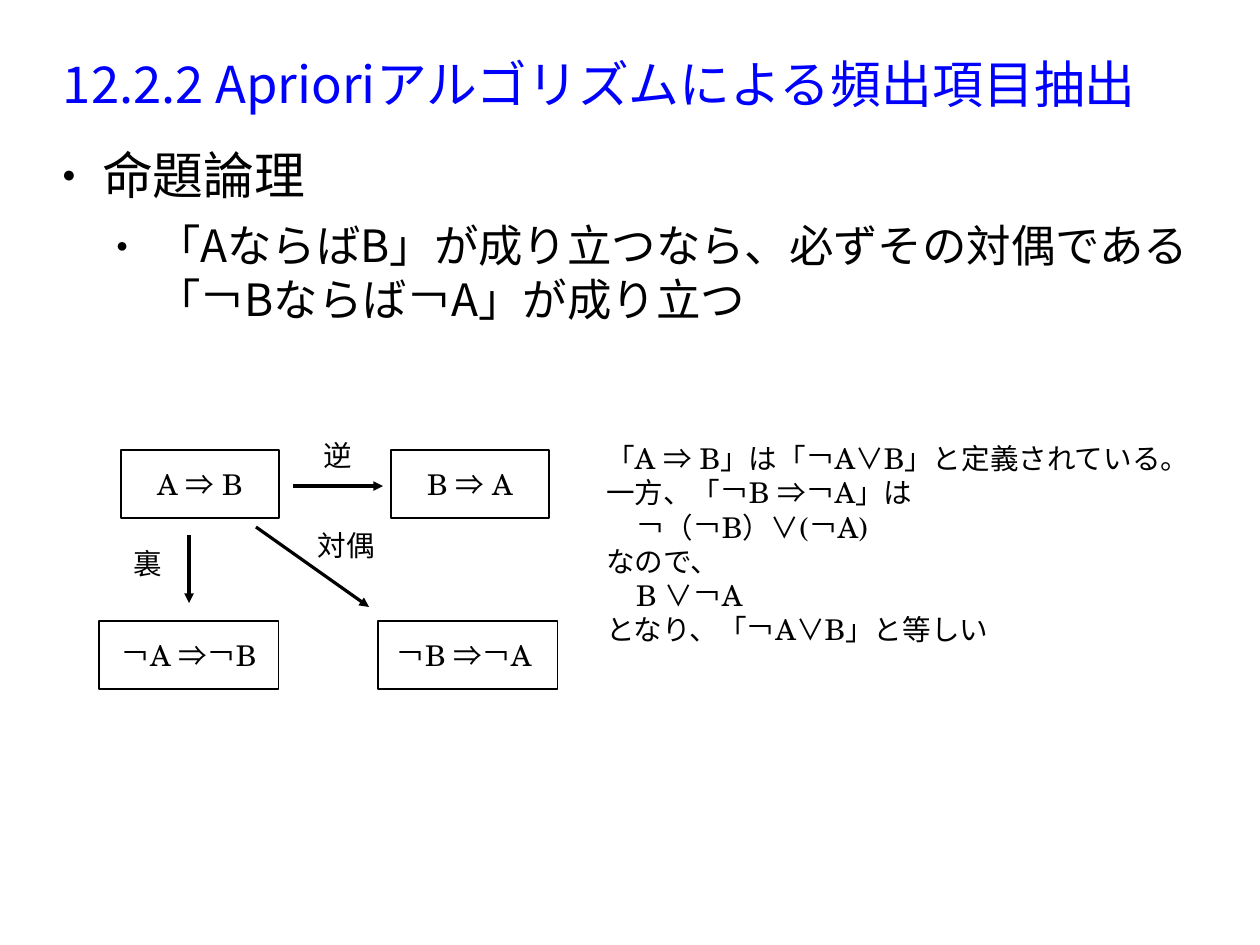
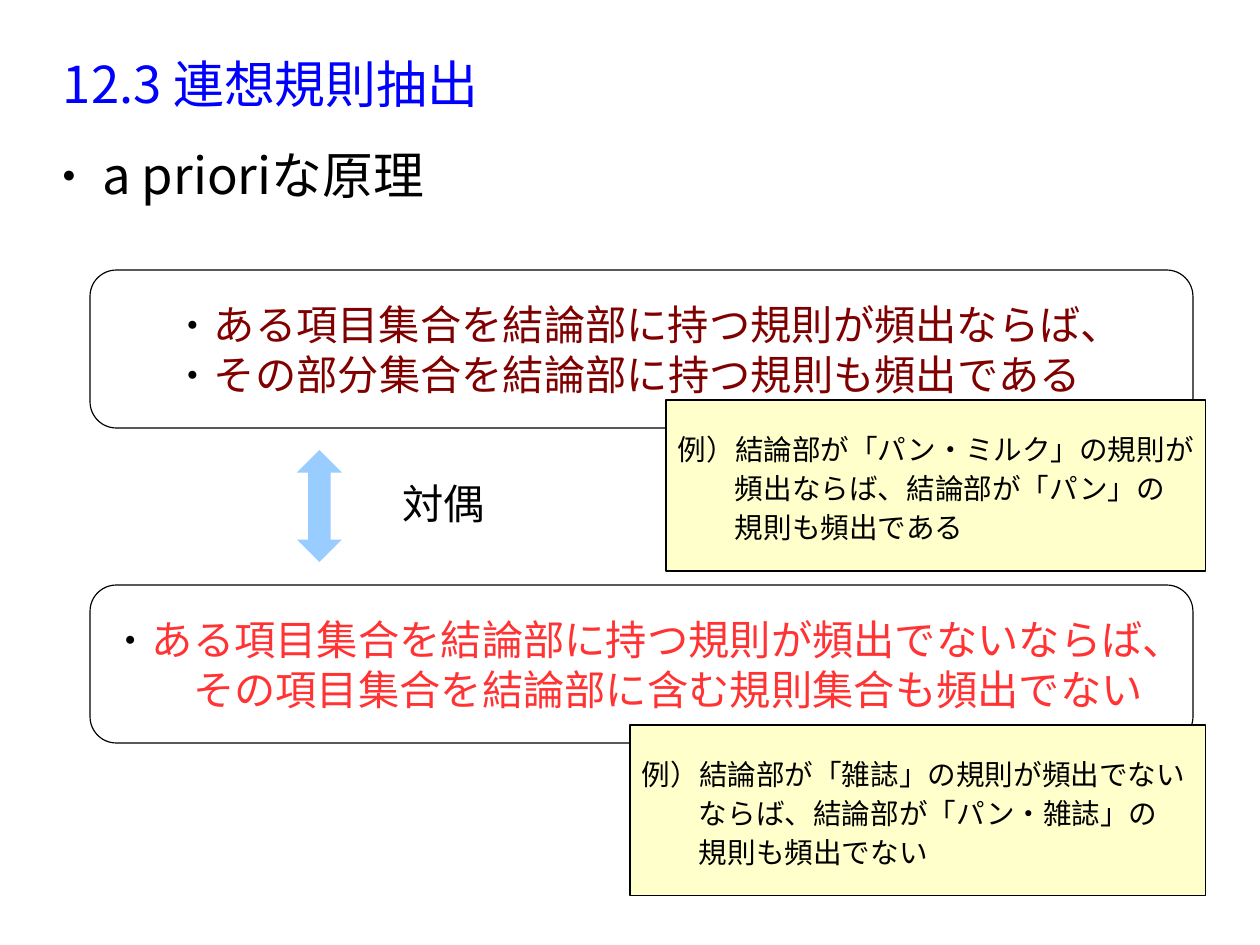
from dataclasses import dataclass
from itertools import groupby

from lxml.etree import SubElement
from pptx import Presentation
from pptx.dml.color import RGBColor
from pptx.enum.shapes import MSO_CONNECTOR, MSO_SHAPE
from pptx.enum.text import MSO_ANCHOR, MSO_AUTO_SIZE, PP_ALIGN
from pptx.oxml.ns import qn
from pptx.util import Emu, Pt

PX = 8000


@dataclass(frozen=True)
class Theme:
    """Colours, fonts and type sizes shared by the slides."""
    black: str = "000000"
    title: str = "0000FF"
    rule: str = "800000"
    contrapositive: str = "FF3333"
    note: str = "FFFFCC"
    arrow: str = "99CCFF"
    cjk: str = "Noto Sans CJK JP"
    serif: str = "TeX Gyre Schola"
    sans: str = "Arial"
    heading_size: int = 32
    sub_size: int = 28
    rule_size: int = 26
    text_size: int = 18
    symbols: str = "⇒∨"


T = Theme()
INSETS = (12, 6, 12, 6)
CENTRED = {"alignment": PP_ALIGN.CENTER}


def px(*values):
    """Turn px lengths into EMU."""
    return [Emu(v * PX) for v in values]


def assign(obj, values):
    """Set the attributes of an object from a dict."""
    for name, value in values.items():
        setattr(obj, name, value)


def format_frame(tf, insets=INSETS, wrap=False, anchor=MSO_ANCHOR.TOP):
    """Set the insets, wrapping and anchor of a text frame."""
    left, top, right, bottom = px(*insets)
    assign(tf, {"margin_left": left, "margin_top": top, "margin_right": right,
                "margin_bottom": bottom, "auto_size": MSO_AUTO_SIZE.NONE,
                "word_wrap": wrap, "vertical_anchor": anchor})


def add_run(p, text, size, font, color):
    """Add a run with Latin and East Asian fonts."""
    r = p.add_run()
    r.text = text
    assign(r.font, {"size": Pt(size), "name": font})
    r.font.color.rgb = RGBColor.from_string(color)
    SubElement(r.font._element, qn("a:ea"), typeface=T.cjk)


def write_paragraph(p, text, size=T.text_size, font=T.cjk, color=T.black, **fmt):
    """Write text with logic symbols in the CJK font."""
    assign(p, {"alignment": PP_ALIGN.LEFT, "space_before": Pt(0), **fmt})
    for i, line in enumerate(text.split("\n")):
        if i:
            p.add_line_break()
        for symbol, chars in groupby(line, lambda c: c in T.symbols):
            add_run(p, "".join(chars), size, T.cjk if symbol else font, color)


def indent(p, left, first=0):
    """Set the left margin and first-line indent in px."""
    pPr = p._p.get_or_add_pPr()
    pPr.set("marL", str(left * PX))
    pPr.set("indent", str(first * PX))
    return pPr


def add_bullet(p, left, hang):
    """Give a paragraph a small round black bullet."""
    pPr = indent(p, left, -hang)
    SubElement(SubElement(pPr, qn("a:buClr")), qn("a:srgbClr"), val=T.black)
    SubElement(pPr, qn("a:buSzPct"), val="45000")
    SubElement(pPr, qn("a:buFont"), typeface=T.sans)
    SubElement(pPr, qn("a:buChar"), char="●")


def paragraphs(tf, items):
    """Pair each item with a paragraph of the frame."""
    for i, item in enumerate(items):
        yield (tf.add_paragraph() if i else tf.paragraphs[0]), item


def add_slide(prs, title, items, height, gap):
    """Add a slide with its title and bulleted body."""
    s = prs.slides.add_slide(prs.slide_layouts[1])
    sp, body = s.shapes.title, s.placeholders[1]
    for ph, box in ((sp, (63, 31, 1134, 104)), (body, (48, 144, 1167, height))):
        assign(ph, dict(zip(("left", "top", "width", "height"), px(*box))))
    format_frame(sp.text_frame, (0, 0, 0, 0), True, MSO_ANCHOR.MIDDLE)
    format_frame(body.text_frame, (0, 0, 0, 0), True)
    write_paragraph(sp.text_frame.paragraphs[0], title, T.heading_size, color=T.title)
    sizes = (T.heading_size, T.sub_size)
    for level, (p, text) in enumerate(paragraphs(body.text_frame, items)):
        write_paragraph(p, text, sizes[level], level=level, space_after=Pt(gap))
        add_bullet(p, 54 * (level + 1), 40)
    return s


def add_shape(s, kind, box, fill=None, line=T.black):
    """Add a flat preset shape with an optional fill and hairline."""
    sp = s.shapes.add_shape(kind, *px(*box))
    sp.shadow.inherit = False
    for part, color in ((sp.fill, fill), (sp.line.fill, line)):
        if color:
            part.solid()
            part.fore_color.rgb = RGBColor.from_string(color)
        else:
            part.background()
    if line:
        sp.line.width = Pt(0)
    format_frame(sp.text_frame, anchor=MSO_ANCHOR.MIDDLE)
    return sp


def add_formula_box(s, box, text):
    """Add a rectangle holding a centred formula."""
    sp = add_shape(s, MSO_SHAPE.RECTANGLE, box)
    write_paragraph(sp.text_frame.paragraphs[0], text, font=T.serif, **CENTRED)


def add_principle(s, top, lines, color):
    """Add a rounded panel of centred bulleted rules."""
    sp = add_shape(s, MSO_SHAPE.ROUNDED_RECTANGLE, (90, top, 1103, 158))
    for p, text in paragraphs(sp.text_frame, lines):
        write_paragraph(p, text, T.rule_size, color=color, level=1, **CENTRED)
        add_bullet(p, 54, 27)


def add_note(s, box, lines):
    """Add a filled example note with lines hung under the first."""
    sp = add_shape(s, MSO_SHAPE.RECTANGLE, box, T.note)
    for i, (p, text) in enumerate(paragraphs(sp.text_frame, lines)):
        write_paragraph(p, text, line_spacing=1.15)
        indent(p, 57 if i else 0)


def add_text(s, box, items, size=T.text_size, font=T.sans):
    """Add a text box from pairs of text and indent."""
    tf = s.shapes.add_textbox(*px(*box)).text_frame
    format_frame(tf)
    for p, (text, left) in paragraphs(tf, items):
        write_paragraph(p, text, size, font)
        indent(p, left)


def add_arrow(s, ends):
    """Add a hairline arrow with a triangular head."""
    sp = s.shapes.add_connector(MSO_CONNECTOR.STRAIGHT, *px(*ends))
    sp.line.color.rgb = RGBColor.from_string(T.black)
    sp.line.width = Pt(0)
    SubElement(sp.line._get_or_add_ln(), qn("a:tailEnd"), type="triangle")
    SubElement(sp._element.spPr, qn("a:effectLst"))


def build_logic(prs):
    """Build the slide on propositional logic."""
    s = add_slide(prs, "12.2.2 Aprioriアルゴリズムによる頻出項目抽出", (
        "命題論理",
        "「AならばB」が成り立つなら、必ずその対偶である「￢Bならば￢A」が成り立つ",
    ), 223, 8.5)
    for box, text in (
        ((121, 450, 158, 68), "A ⇒ B"),
        ((391, 450, 158, 68), "B ⇒ A"),
        ((99, 621, 180, 68), "￢A ⇒￢B"),
        ((378, 621, 180, 68), "￢B ⇒￢A "),
    ):
        add_formula_box(s, box, text)
    for ends, box, text in (
        ((293, 486, 383, 486), (311, 432, 51, 54), "逆"),
        ((189, 535, 189, 603), (121, 540, 51, 54), "裏"),
        ((256, 527, 369, 607), (306, 522, 80, 54), "対偶"),
    ):
        add_arrow(s, ends)
        add_text(s, box, [(text, 0)])
    add_text(s, (594, 435, 633, 269), (
        ("「A ⇒ B」は「￢A∨B」と定義されている。", 0),
        ("一方、「￢B ⇒￢A」は", 0),
        ("￢（￢B）∨(￢A)", 30),
        ("なので、", 0),
        ("B ∨￢A", 30),
        ("となり、「￢A∨B」と等しい", 0),
    ), font=T.serif)


def build_principle(prs):
    """Build the slide on the a priori principle."""
    s = add_slide(prs, "12.3 連想規則抽出", ("a prioriな原理",), 104, 28.4)
    add_shape(s, MSO_SHAPE.UP_DOWN_ARROW, (297, 450, 45, 112), T.arrow, None)
    add_principle(s, 270, (
        "ある項目集合を結論部に持つ規則が頻出ならば、",
        "その部分集合を結論部に持つ規則も頻出である　",
    ), T.rule)
    add_principle(s, 585, (
        "ある項目集合を結論部に持つ規則が頻出でないならば、\n"
        "その項目集合を結論部に含む規則集合も頻出でない",
    ), T.contrapositive)
    add_text(s, (390, 472, 105, 73), [("対偶", 0)], T.rule_size)
    add_note(s, (630, 725, 576, 171), (
        "例）結論部が「雑誌」の規則が頻出でない",
        "ならば、結論部が「パン・雑誌」の",
        "規則も頻出でない",
    ))
    add_note(s, (666, 400, 540, 171), (
        "例）結論部が「パン・ミルク」の規則が",
        "頻出ならば、結論部が「パン」の",
        "規則も頻出である",
    ))


def main():
    """Build and save the presentation."""
    prs = Presentation()
    prs.slide_width, prs.slide_height = px(1260, 945)
    build_logic(prs)
    build_principle(prs)
    prs.save("out.pptx")


if __name__ == "__main__":
    main()
